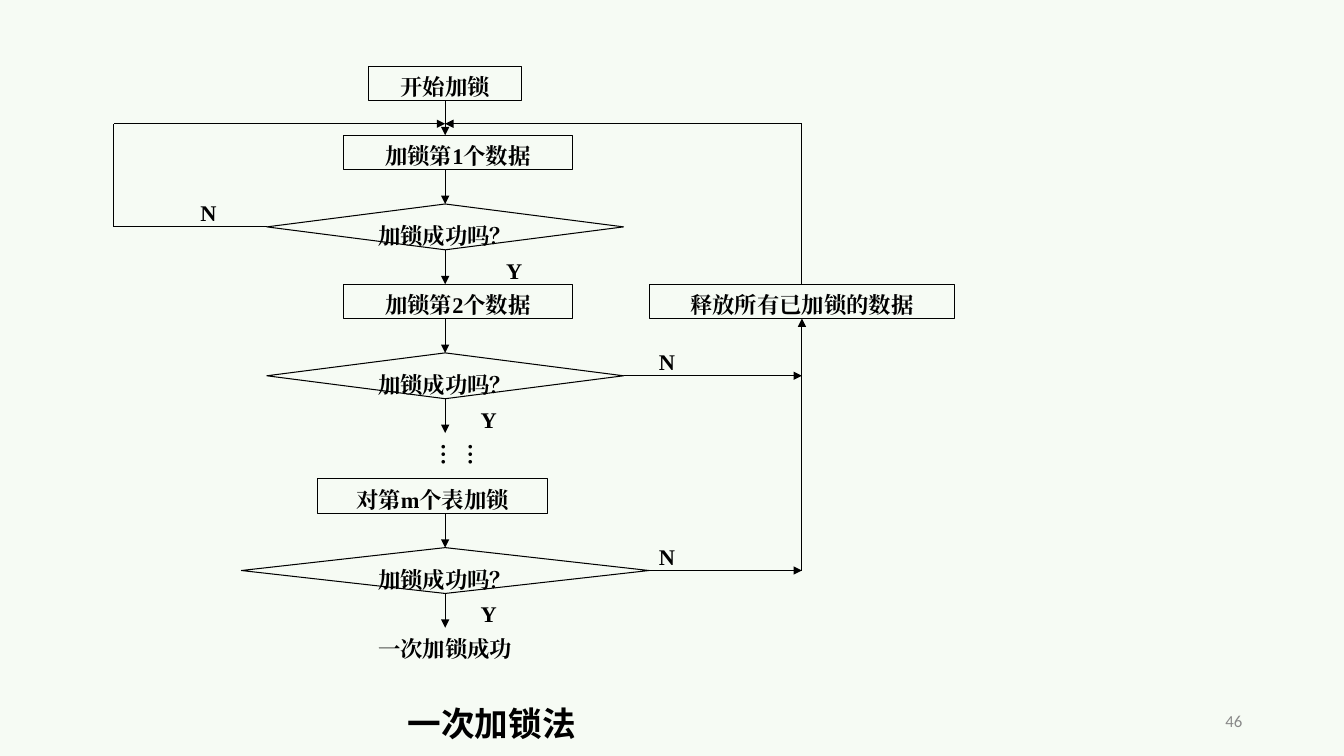
from pptx import Presentation
from pptx import util as u
from pptx.dml import color
from pptx.enum import shapes, text
from pptx.oxml import ns, xmlchemy

SLIDE_W, SLIDE_H = 13.33, 7.5
LEFT, TOP = 1.13, 0.66
COL = (9.47 - LEFT) / 33
ROW = SLIDE_H / 66

THEME = {
    "ink": "000000", "muted": "898989", "paper": "F6FBF4",
    "latin": "Times New Roman", "heading": "Noto Sans CJK SC", "number": "Calibri",
    "flow_size": 16, "title_size": 24, "number_size": 12, "stroke": 0.75,
}

TITLE = "一次加锁法 "
PAGE = "46"
QUESTION = "加锁成功吗？"

STEPS = [
    ("开始加锁", 10, 0, 6),
    ("加锁第1个数据", 9, 6, 9),
    ("加锁第2个数据", 9, 19, 9),
    ("释放所有已加锁的数据", 21, 19, 12),
    ("对第m个表加锁", 8, 36, 9),
]
DECISIONS = [(6, 12, 14), (6, 25, 14), (5, 42, 16)]
ANSWERS = [
    ("N", 3, 11, 3), ("Y", 15, 16, 3),
    ("N", 21, 24, 3), ("Y", 14, 29, 4),
    ("N", 21, 41, 4), ("Y", 14, 46, 3),
]
ELLIPSIS = ("……", 12, 32, 3, 4)
RESULT = ("一次加锁成功", 8, 49, 10, 3)

SPINE, RELEASE, MERGE_ROW = 13, 27, 5
DOWN_STARTS = [3, 9, 16, 22, 29, 39, 46]
ARROWS = [(SPINE, row, SPINE, row + 3) for row in DOWN_STARTS] + [
    (0, MERGE_ROW, SPINE, MERGE_ROW),
    (RELEASE, MERGE_ROW, SPINE, MERGE_ROW),
    (20, 27, RELEASE, 27),
    (21, 44, RELEASE, 44),
    (RELEASE, 44, RELEASE, 22),
]
PLAIN_LINES = [
    (6, 14, 0, 14),
    (0, 14, 0, MERGE_ROW),
    (RELEASE, 19, RELEASE, MERGE_ROW),
]


def point(col, row):
    return u.Inches(LEFT + col * COL), u.Inches(TOP + row * ROW)


def area(col, row, cols, rows):
    return (*point(col, row), u.Inches(cols * COL), u.Inches(rows * ROW))


def rgb(name):
    return color.RGBColor.from_string(THEME[name])


def write(shape, words, align, size="flow_size", face="latin", ink="ink", bold=True,
          anchor=text.MSO_ANCHOR.TOP, inset=0.07):
    frame = shape.text_frame
    frame.text = words
    frame.word_wrap = True
    frame.auto_size = text.MSO_AUTO_SIZE.NONE
    frame.vertical_anchor = anchor
    frame.margin_top = u.Inches(inset)
    frame.margin_bottom = u.Inches(0)
    paragraph = frame.paragraphs[0]
    paragraph.alignment = align
    font = paragraph.runs[0].font
    font.name = THEME[face]
    font.size = u.Pt(THEME[size])
    font.bold = bold
    font.color.rgb = rgb(ink)
    east_asian = xmlchemy.OxmlElement("a:ea")
    east_asian.set("typeface", THEME[face])
    paragraph.runs[0]._r.rPr.find(ns.qn("a:latin")).addnext(east_asian)


def add_node(slide, kind, words, place):
    node = slide.shapes.add_shape(kind, *place)
    node.shadow.inherit = False
    node.fill.background()
    node.line.color.rgb = rgb("ink")
    node.line.width = u.Pt(THEME["stroke"])
    write(node, words, text.PP_ALIGN.CENTER)


def add_label(slide, words, place, align=text.PP_ALIGN.JUSTIFY, **style):
    label = slide.shapes.add_textbox(*place)
    write(label, words, align, **style)
    return label


def add_link(slide, ends, arrow):
    link = slide.shapes.add_connector(
        shapes.MSO_CONNECTOR.STRAIGHT, *point(*ends[:2]), *point(*ends[2:]))
    link.line.color.rgb = rgb("ink")
    link.line.width = u.Pt(THEME["stroke"])
    if arrow:
        head = xmlchemy.OxmlElement("a:tailEnd")
        head.set("type", "triangle")
        link.line._get_or_add_ln().append(head)
    link._element.spPr.append(xmlchemy.OxmlElement("a:effectLst"))


def main():
    deck = Presentation()
    deck.slide_width, deck.slide_height = u.Inches(SLIDE_W), u.Inches(SLIDE_H)
    slide = deck.slides.add_slide(deck.slide_layouts[5])
    slide.background.fill.solid()
    slide.background.fill.fore_color.rgb = rgb("paper")

    for words, col, row, cols in STEPS:
        add_node(slide, shapes.MSO_SHAPE.RECTANGLE, words, area(col, row, cols, 3))
    for col, row, cols in DECISIONS:
        add_node(slide, shapes.MSO_SHAPE.DIAMOND, QUESTION, area(col, row, cols, 4))
    for ends in ARROWS:
        add_link(slide, ends, True)
    for ends in PLAIN_LINES:
        add_link(slide, ends, False)
    for words, col, row, cols in ANSWERS:
        add_label(slide, words, area(col, row, cols, 3))

    dots = add_label(slide, ELLIPSIS[0], area(*ELLIPSIS[1:]), inset=0.05)
    dots.text_frame._txBody.bodyPr.set("vert", "eaVert")
    add_label(slide, RESULT[0], area(*RESULT[1:]), text.PP_ALIGN.CENTER)

    title = slide.shapes.title
    title.left, title.top = u.Inches(2.33), u.Inches(6.92)
    title.width, title.height = u.Inches(5.17), u.Inches(0.5)
    write(title, TITLE, text.PP_ALIGN.CENTER, size="title_size", face="heading",
          anchor=text.MSO_ANCHOR.MIDDLE, inset=0)

    number_place = [u.Inches(n) for n in (9.42, 6.95, 3, 0.4)]
    add_label(slide, PAGE, number_place, text.PP_ALIGN.RIGHT, size="number_size",
              face="number", ink="muted", bold=False,
              anchor=text.MSO_ANCHOR.MIDDLE, inset=0)
    deck.save("out.pptx")


if __name__ == "__main__":
    main()
